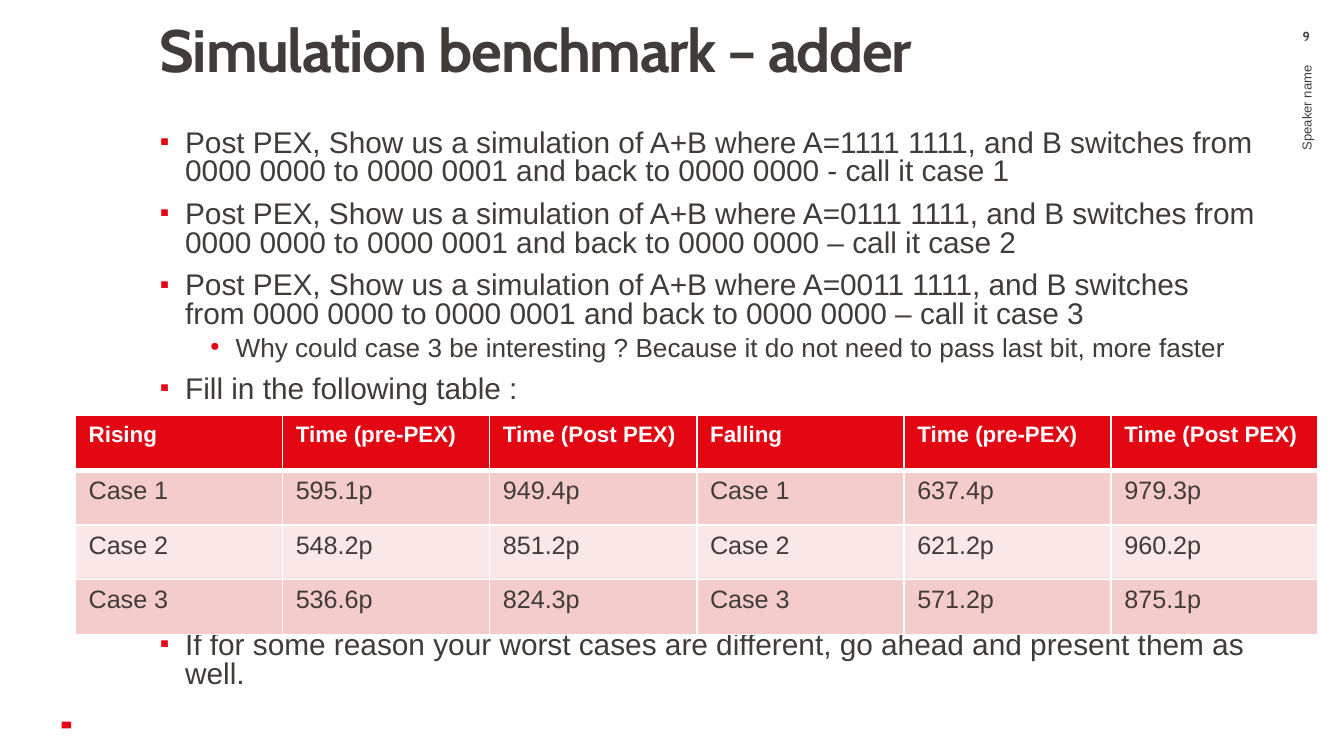
from dataclasses import dataclass

from lxml import etree
from pptx import Presentation
from pptx.dml.color import RGBColor
from pptx.enum.shapes import MSO_SHAPE
from pptx.enum.text import MSO_ANCHOR, PP_ALIGN
from pptx.oxml.ns import qn
from pptx.util import Inches, Pt

RECT = MSO_SHAPE.RECTANGLE
TOP, MIDDLE = MSO_ANCHOR.TOP, MSO_ANCHOR.MIDDLE
LEFT, CENTER, RIGHT = PP_ALIGN.LEFT, PP_ALIGN.CENTER, PP_ALIGN.RIGHT


@dataclass(frozen=True)
class Theme:
    red: str = "E30613"
    ink: str = "413C3A"
    white: str = "FFFFFF"
    bands: tuple = ("F4CCCC", "FAE7E7")
    body: str = "Arial"
    head: str = "Cabin"
    title: float = 32
    main: float = 16
    sub: float = 14
    cell: float = 13.5
    label: float = 12
    small: float = 7
    hang: float = 13.5


THEME = Theme()

CASES = [
    ("1111 1111", "- call it case 1"),
    ("0111 1111", "– call it case 2"),
    ("0011 1111", "– call it case 3"),
]
WHY = "Why could case 3 be interesting ? Because it do not need to pass last bit, more faster"
FILL = "Fill in the following table :"
LAST = "If for some reason your worst cases are different, go ahead and present them as well."
ROWS = [
    ("Rising", "Time (pre-PEX)", "Time (Post PEX)", "Falling", "Time (pre-PEX)", "Time (Post PEX)"),
    ("Case 1", "595.1p", "949.4p", "Case 1", "637.4p", "979.3p"),
    ("Case 2", "548.2p", "851.2p", "Case 2", "621.2p", "960.2p"),
    ("Case 3", "536.6p", "824.3p", "Case 3", "571.2p", "875.1p"),
]


def rgb(code):
    return RGBColor.from_string(code)


def style(para, size, color=THEME.ink, face=THEME.body, bold=False):
    font = para.font
    font.size, font.name, font.bold = Pt(size), face, bold
    font.color.rgb = rgb(color)


def add_frame(slide, box, pads=(0.1, 0.05, 0.1, 0.05), anchor=TOP, turn=0):
    shape = slide.shapes.add_textbox(*map(Inches, box))
    shape.rotation = turn
    frame = shape.text_frame
    frame.word_wrap = True
    frame.vertical_anchor = anchor
    frame.margin_left, frame.margin_top, frame.margin_right, frame.margin_bottom = map(Inches, pads)
    return frame


def add_line(slide, box, text, size, face, bold=False, align=LEFT, **opts):
    para = add_frame(slide, box, **opts).paragraphs[0]
    para.text, para.alignment = text, align
    style(para, size, face=face, bold=bold)
    return para


def add_title(slide, box):
    para = add_line(slide, box, "Simulation benchmark – adder", THEME.title, THEME.head, True,
                    pads=(0.2, 0, 0.08, 0.05))
    para.line_spacing = 0.8
    para.runs[0]._r.get_or_add_rPr().set("spc", "-70")


def add_bullet(para, mark, indent, scale):
    props = para._p.get_or_add_pPr()
    props.set("marL", str(Pt(indent)))
    props.set("indent", str(Pt(-THEME.hang)))
    color = etree.SubElement(props, qn("a:buClr"))
    etree.SubElement(color, qn("a:srgbClr"), val=THEME.red)
    etree.SubElement(props, qn("a:buSzPct"), val=str(scale * 1000))
    etree.SubElement(props, qn("a:buFont"), typeface=THEME.body)
    etree.SubElement(props, qn("a:buChar"), char=mark)


def add_body(slide, box):
    frame = add_frame(slide, box, (0.2, 0.05, 0.09, 0.05))
    items = [
        (f"Post PEX, Show us a simulation of A+B where A={bits}, and B switches from "
         f"0000 0000 to 0000 0001 and back to 0000 0000 {name}", 0, 7.5)
        for bits, name in CASES
    ]
    items += [(WHY, 1, 3.8), (FILL, 0, 7.5), (LAST, 0, 122)]
    for num, (text, level, gap) in enumerate(items):
        para = frame.add_paragraph() if num else frame.paragraphs[0]
        para.text, para.level = text, level
        para.line_spacing, para.space_before = 0.8, Pt(gap)
        if level:
            add_bullet(para, "•", 3 * THEME.hang, 100)
        else:
            add_bullet(para, "▪", THEME.hang, 90)
        style(para, THEME.sub if level else THEME.main)


def add_edges(cell, base):
    props = cell._tc.get_or_add_tcPr()
    for side, width in (("L", 1), ("R", 1), ("T", 1), ("B", base)):
        edge = etree.SubElement(props, qn(f"a:ln{side}"), w=str(Pt(width)))
        paint = etree.SubElement(edge, qn("a:solidFill"))
        etree.SubElement(paint, qn("a:srgbClr"), val=THEME.white)


def add_times(slide, box):
    table = slide.shapes.add_table(len(ROWS), len(ROWS[0]), *map(Inches, box)).table
    table.horz_banding = False
    for row, texts in enumerate(ROWS):
        top = row == 0
        for col, text in enumerate(texts):
            cell = table.cell(row, col)
            cell.text = text
            add_edges(cell, 3 if top else 1)
            cell.fill.solid()
            cell.fill.fore_color.rgb = rgb(THEME.red if top else THEME.bands[(row - 1) % 2])
            para = cell.text_frame.paragraphs[0]
            if top:
                style(para, THEME.label, THEME.white, bold=True)
            else:
                style(para, THEME.cell)


def add_margin(slide, box):
    left, top, width, high = box
    num = 0.18
    add_line(slide, (left, top, width, num), "9", THEME.small, THEME.head, True, CENTER,
             pads=(0.1, 0, 0.1, 0))
    span = high - num
    mid_x, mid_y = left + width / 2, top + num + span / 2
    add_line(slide, (mid_x - span / 2, mid_y - width / 2, span, width), "Speaker name",
             THEME.small, THEME.body, align=RIGHT, anchor=MIDDLE, turn=270)


def add_mark(slide, box):
    mark = slide.shapes.add_shape(RECT, *map(Inches, box))
    mark.shadow.inherit = False
    mark.fill.solid()
    mark.fill.fore_color.rgb = rgb(THEME.red)
    mark.line.fill.background()


def main():
    deck = Presentation()
    deck.slide_width = Inches(10)
    deck.slide_height = deck.slide_width * 9 // 16
    slide = deck.slides.add_slide(deck.slide_layouts[6])
    add_mark(slide, (0.46, 5.37, 0.07, 0.05))
    add_body(slide, (0.99, 0.92, 8.45, 4.49))
    add_title(slide, (0.99, 0.2, 7.82, 0.72))
    add_margin(slide, (9.44, 0.21, 0.56, 4.05))
    add_times(slide, (0.56, 3.09, 9.25, 1.63))
    deck.save("out.pptx")


if __name__ == "__main__":
    main()
